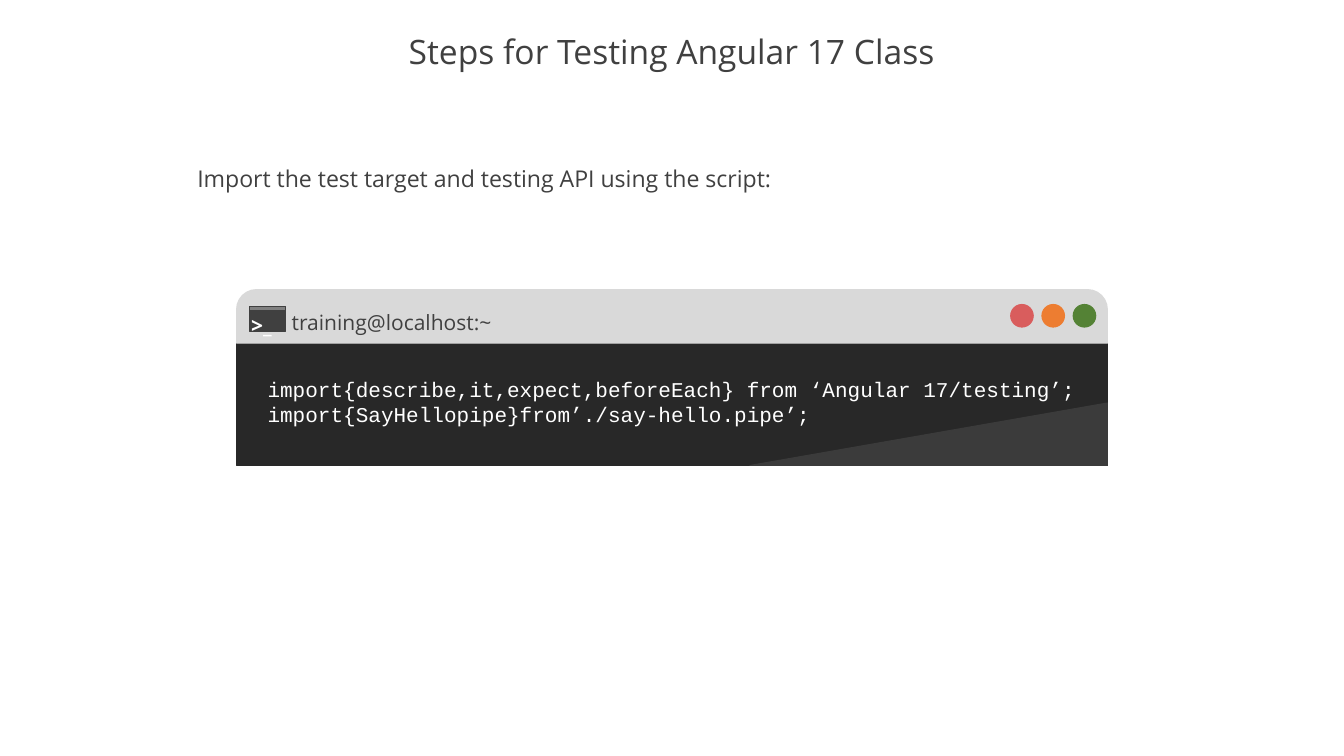
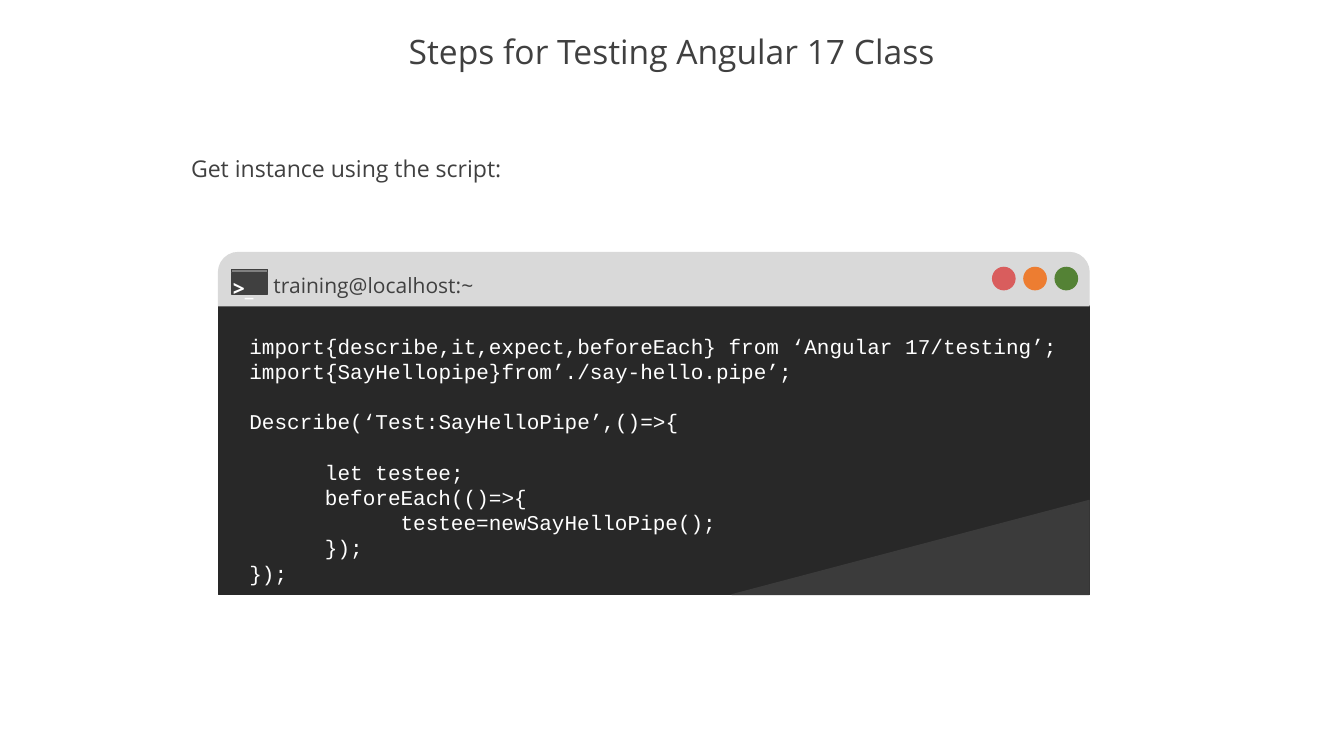
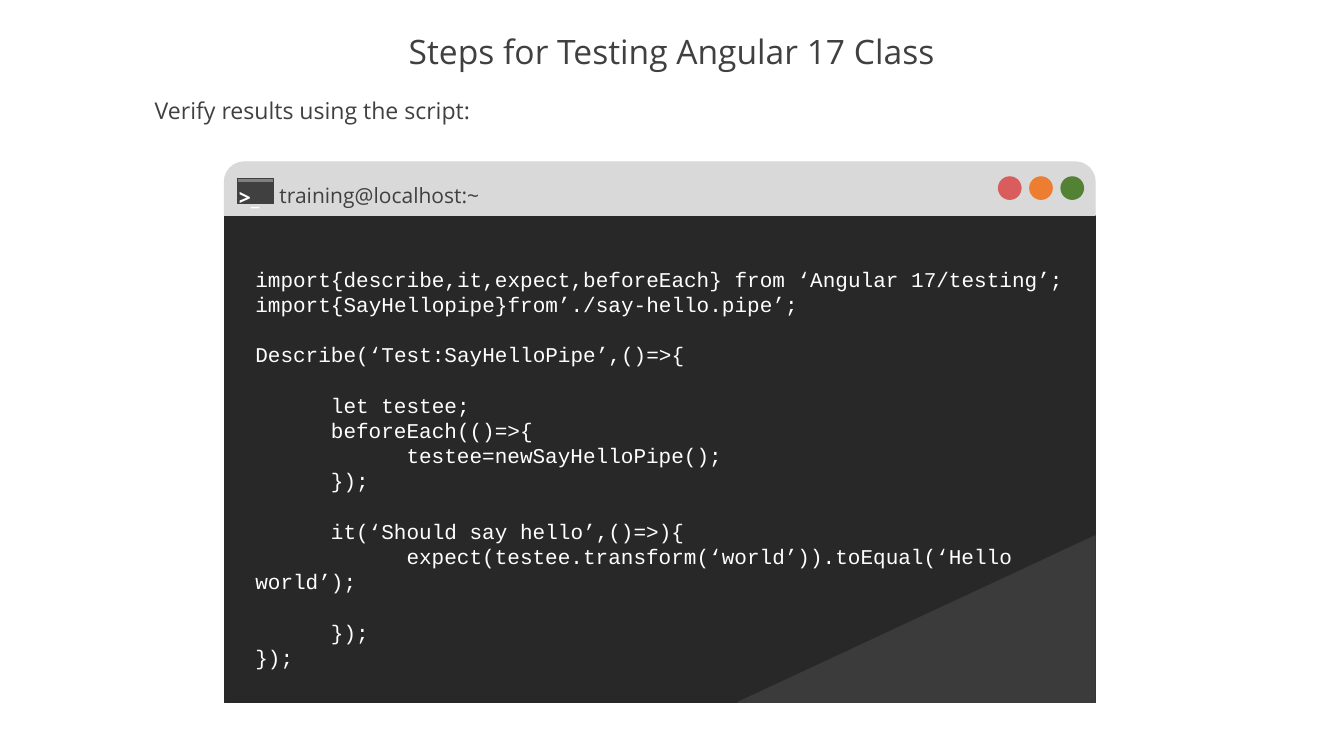
from pptx import Presentation
from pptx.dml.color import RGBColor
from pptx.enum.shapes import MSO_SHAPE
from pptx.enum.text import MSO_ANCHOR, MSO_AUTO_SIZE, PP_ALIGN
from pptx.util import Cm, Pt

RECT, OVAL, TAB = MSO_SHAPE.RECTANGLE, MSO_SHAPE.OVAL, MSO_SHAPE.ROUND_2_SAME_RECTANGLE
MIDDLE, CENTER = MSO_ANCHOR.MIDDLE, PP_ALIGN.CENTER
GROW = MSO_AUTO_SIZE.SHAPE_TO_FIT_TEXT

TITLE = "Steps for Testing Angular 17 Class"
USER = "training@localhost:~"
# Each code line: indent level, blank lines above, text
LOAD = [
    (0, 0, "import{describe,it,expect,beforeEach} from ‘Angular 17/testing’;"),
    (0, 0, "import{SayHellopipe}from’./say-hello.pipe’;"),
]
SETUP = [
    (0, 1, "Describe(‘Test:SayHelloPipe’,()=>{"),
    (1, 1, "let testee;"),
    (1, 0, "beforeEach(()=>{"),
    (2, 0, "testee=newSayHelloPipe();"),
    (1, 0, "});"),
]
CHECK = [
    (1, 1, "it(‘Should say hello’,()=>){"),
    (2, 0, "expect(testee.transform(‘world’)).toEqual(‘Hello world’);"),
    (1, 1, "});"),
]
END = [(0, 0, "});")]

# Lengths in cm; "pad" is from the window's top to its code box
SLIDES = [
    dict(lead="Import the test target and testing API using the script:",
         at=(6.38, 5.41), win=(7.95, 9.73), body=4.11, fold=2.1,
         pad=2.79, code=LOAD),
    dict(lead="Get instance using the script:",
         at=(6.17, 5.05), win=(7.34, 8.48), body=9.7, fold=3.17,
         pad=2.59, code=LOAD + SETUP + END),
    dict(lead="Verify results using the script:",
         at=(4.95, 3.12), win=(7.54, 5.44), body=16.36, fold=5.6,
         pad=3.38, code=LOAD + SETUP + CHECK + END),
]

INK = dict(text="404040", white="FFFFFF", body="282828", fold="3B3B3B", bar="D9D9D9",
           strip="808080", red="D95D5D", orange="ED7D31", green="548235")
SANS, MONO = "Open Sans", "Courier New"
WIDE, HIGH = 45.16, 25.4
WIN_W, BAR_H, FOLD_W = 29.26, 1.8, 12.01
DOT, DOT_X, DOT_Y, STEP = 0.76, 26.01, 0.5, 1.05
INDENT, BLANK = Cm(2.54), Pt(24)


def color(name):
    return RGBColor.from_string(INK[name])


def write(frame, lines, size=20, font=SANS, ink="text", bold=False, align=None, space=None):
    """Fill a frame with (indent level, blank lines above, text) tuples."""
    for i, (level, gap, text) in enumerate(lines):
        para = frame.paragraphs[0] if i == 0 else frame.add_paragraph()
        if level:
            para._p.get_or_add_pPr().set("indent", str(INDENT * level))
        if gap:
            para.space_before = BLANK * gap
        if align is not None:
            para.alignment = align
        if space:
            para.line_spacing = space
        run = para.add_run()
        run.text = text
        run.font.name, run.font.size, run.font.bold = font, Pt(size), bold
        run.font.color.rgb = color(ink)


def add_text(shapes, x, y, w, h, lines, wrap=True, **style):
    box = shapes.add_textbox(Cm(x), Cm(y), Cm(w), Cm(h))
    box.text_frame.word_wrap = wrap
    box.text_frame.auto_size = GROW
    write(box.text_frame, lines, **style)


def paint(shape, fill, line=None):
    shape.shadow.inherit = False
    shape.fill.solid()
    shape.fill.fore_color.rgb = color(fill)
    shape.line.color.rgb = color(line or fill)
    shape.line.width = Pt(1)


def add_box(shapes, kind, x, y, w, h, fill, line=None):
    shape = shapes.add_shape(kind, Cm(x), Cm(y), Cm(w), Cm(h))
    paint(shape, fill, line)
    return shape


def add_window(slide, win, body, fold, pad, code):
    """Draw a terminal window with its code."""
    x, y = win
    right, base = x + WIN_W, y + BAR_H + body
    shapes = slide.shapes.add_group_shape().shapes
    add_box(shapes, RECT, x, y + BAR_H, WIN_W, body, "body")

    path = shapes.build_freeform(Cm(right), Cm(base - fold))
    path.add_line_segments([(Cm(right), Cm(base)), (Cm(right - FOLD_W), Cm(base))])
    paint(path.convert_to_shape(), "fold")

    bar = add_box(shapes, TAB, x, y, WIN_W, BAR_H, "bar")
    bar.adjustments[0], bar.adjustments[1] = 0.37, 0
    for i, name in enumerate(("red", "orange", "green")):
        add_box(shapes, OVAL, x + DOT_X + i * STEP, y + DOT_Y, DOT, DOT, name)

    add_text(shapes, x + 1.6, y + 0.56, 7.26, 1.12, [(0, 0, USER)], wrap=False)
    add_box(shapes, RECT, x + 0.44, y + 0.71, 1.22, 0.69, "text")
    add_box(shapes, RECT, x + 0.44, y + 0.56, 1.22, 0.13, "strip", "text")
    add_text(shapes, x + 0.24, y + 0.64, 1.22, 1.12, [(0, 0, ">_")],
             wrap=False, ink="white", bold=True)
    add_text(shapes, x + 0.79, y + pad, 27.68, body - 1, code, font=MONO, ink="white")


def add_title(slide):
    title = slide.shapes.title
    title.left, title.top, title.width, title.height = Cm(0), Cm(0.89), Cm(WIDE), Cm(1.85)
    title.text_frame.vertical_anchor = MIDDLE
    write(title.text_frame, [(0, 0, TITLE)], size=32, align=CENTER, space=0.9)


def main():
    deck = Presentation()
    deck.slide_width, deck.slide_height = Cm(WIDE), Cm(HIGH)
    for item in SLIDES:
        slide = deck.slides.add_slide(deck.slide_layouts[5])
        add_title(slide)
        add_text(slide.shapes, *item["at"], 30.05, 1.19, [(0, 0, item["lead"])], size=22)
        add_window(slide, item["win"], item["body"], item["fold"], item["pad"], item["code"])
    deck.save("out.pptx")


if __name__ == "__main__":
    main()
